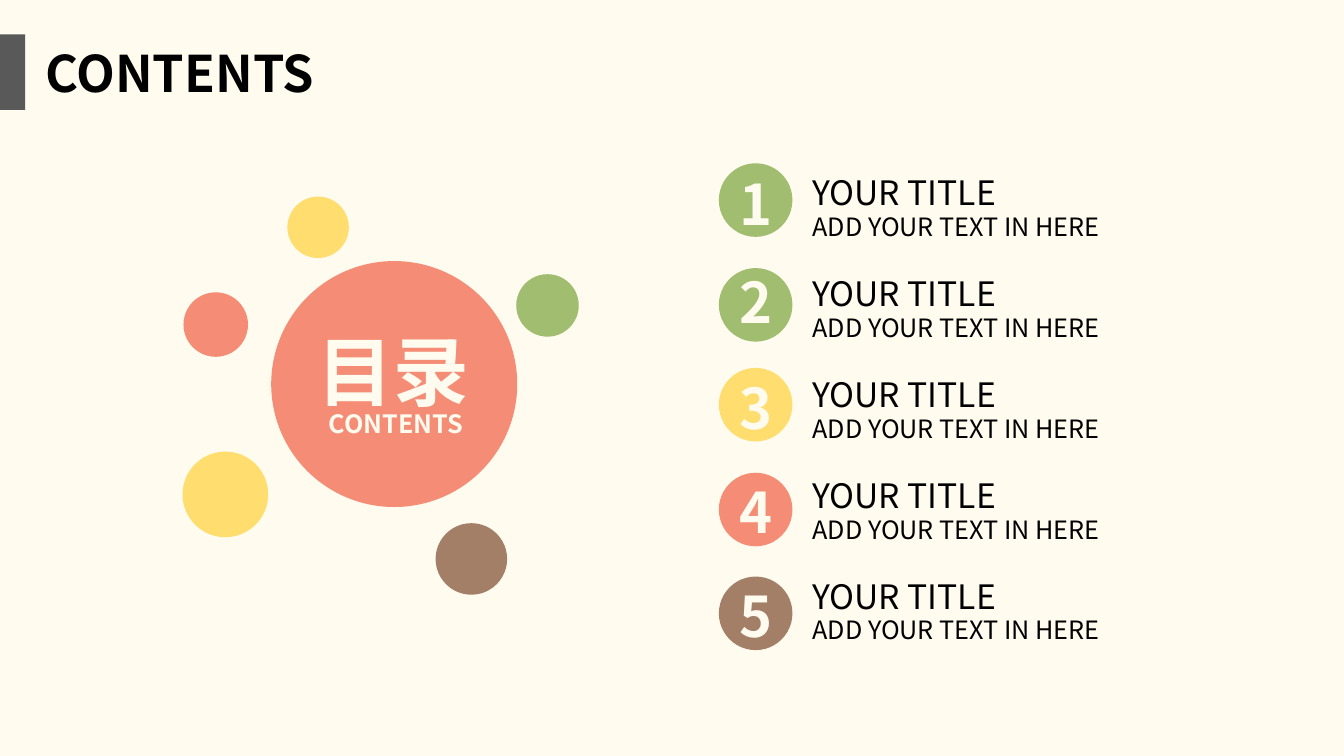
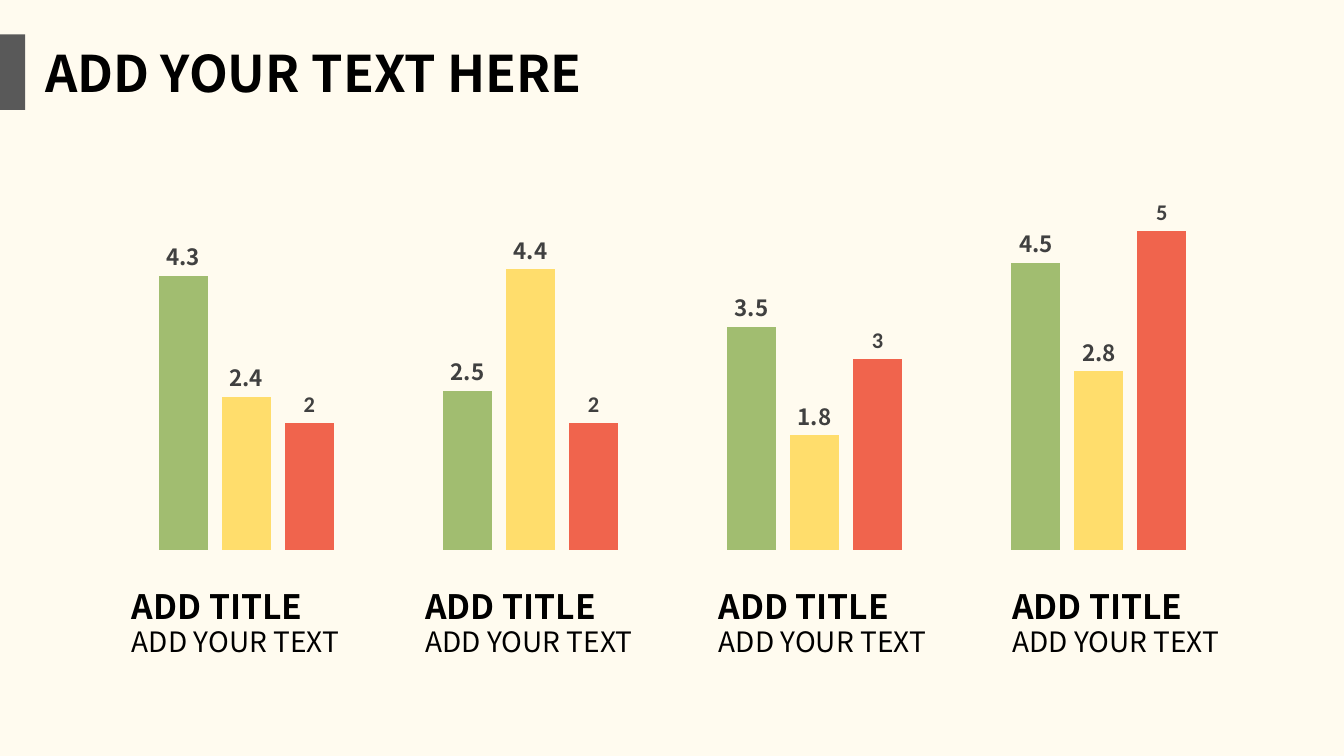
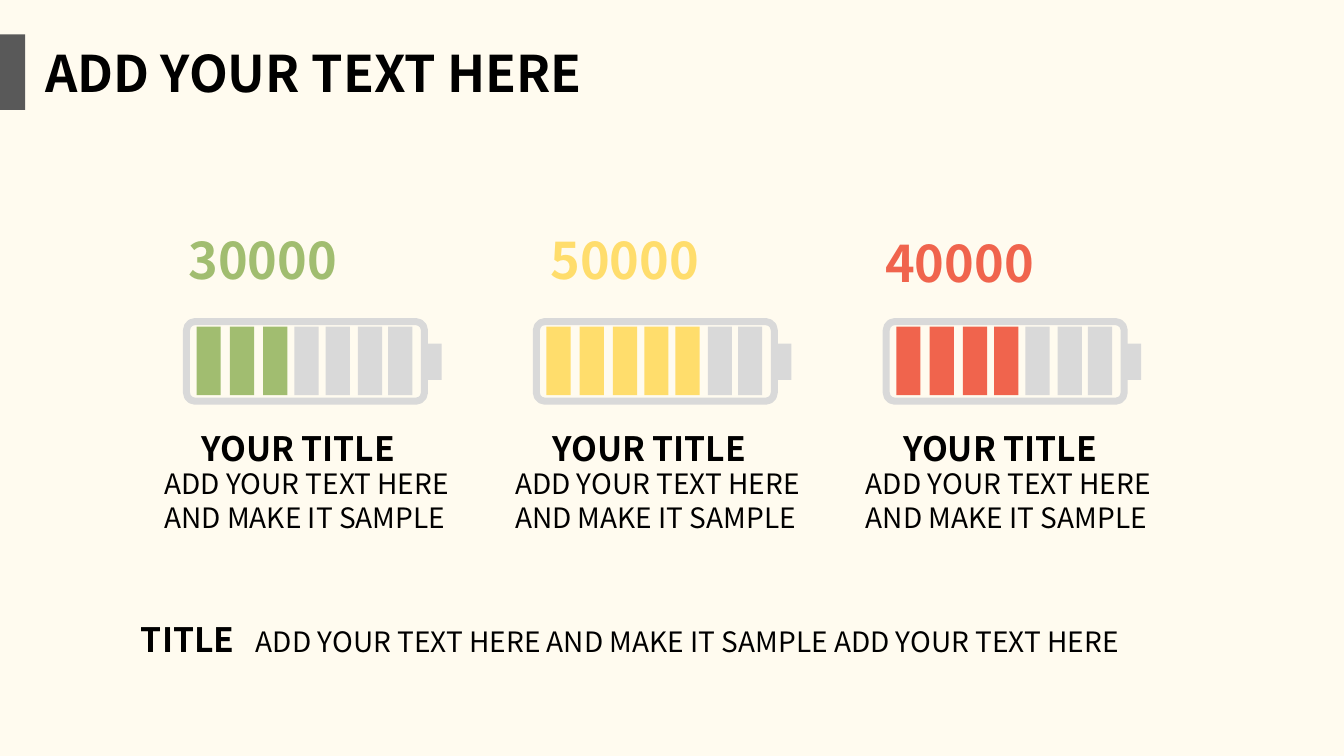
from lxml.etree import SubElement
from pptx import Presentation
from pptx.chart.data import CategoryChartData
from pptx.dml.color import RGBColor
from pptx.enum.chart import XL_CHART_TYPE as ChartType, XL_LABEL_POSITION as LabelPosition
from pptx.enum.shapes import MSO_SHAPE as Preset
from pptx.enum.text import PP_ALIGN as Align
from pptx.oxml.ns import qn
from pptx.util import Inches, Pt

FONT = "Noto Sans CJK SC"
CREAM, BLACK, CHARCOAL, GRAY = "FFFBEF", "000000", "595959", "D9D9D9"
GREEN, GOLD, CORAL, BROWN = "A1BD70", "FFDE6F", "F58D76", "A37F67"
YELLOW, RED, LABEL_GRAY = "FFDD6C", "F0644D", "404040"


def add_figure(page, preset, left, top, width, height, color):
    figure = page.shapes.add_shape(
        preset, Inches(left), Inches(top), Inches(width), Inches(height))
    figure.shadow.inherit = False
    figure.fill.solid()
    figure.fill.fore_color.rgb = RGBColor.from_string(color)
    figure.line.fill.background()
    return figure


def add_text(page, text, left, top, width, height, size,
             color=BLACK, bold=False, align=Align.LEFT):
    box = page.shapes.add_textbox(
        Inches(left), Inches(top), Inches(width), Inches(height))
    box.text_frame.word_wrap = True
    para = box.text_frame.paragraphs[0]
    para.alignment = align
    span = para.add_run()
    span.text = text
    for name, value in {"name": FONT, "size": Pt(size), "bold": bold}.items():
        setattr(span.font, name, value)
    span.font.color.rgb = RGBColor.from_string(color)
    SubElement(span.font._element, qn("a:ea"), typeface=FONT)


deck = Presentation()
deck.slide_width, deck.slide_height = Inches(13.33), Inches(7.5)
backdrop = deck.slide_master.background.fill
backdrop.solid()
backdrop.fore_color.rgb = RGBColor.from_string(CREAM)

pages = []
for heading in ("CONTENTS", "ADD YOUR TEXT HERE", "ADD YOUR TEXT HERE"):
    page = deck.slides.add_slide(deck.slide_layouts[6])
    add_figure(page, Preset.RECTANGLE, 0, 0.34, 0.25, 0.75, CHARCOAL)
    add_text(page, heading, 0.35, 0.37, 8, 0.71, 36, bold=True)
    pages.append(page)
contents_page, chart_page, battery_page = pages

# Contents: bubbles on the left, numbered entries on the right
bubbles = [
    (2.69, 2.59, 2.44, CORAL),
    (1.81, 4.48, 0.85, GOLD),
    (1.82, 2.9, 0.64, CORAL),
    (2.85, 1.95, 0.61, GOLD),
    (5.12, 2.72, 0.62, GREEN),
    (4.32, 5.19, 0.71, BROWN),
]
for left, top, diameter, color in bubbles:
    add_figure(contents_page, Preset.OVAL, left, top, diameter, diameter, color)
add_text(contents_page, "目录", 3.05, 3.17, 1.8, 1.01, 54, CREAM, True)
add_text(contents_page, "CONTENTS", 3.16, 4, 1.8, 0.4, 18, CREAM, True)

entries = [
    (1.62, 1.63, GREEN),
    (2.66, 2.61, GREEN),
    (3.65, 3.66, GOLD),
    (4.69, 4.69, CORAL),
    (5.72, 5.72, BROWN),
]
for index, (circle_top, number_top, color) in enumerate(entries):
    add_figure(contents_page, Preset.OVAL, 7.13, circle_top, 0.73, 0.73, color)
    add_text(contents_page, str(index + 1), 7.13, number_top, 0.73, 0.77, 40,
             CREAM, True, Align.CENTER)
    entry_top = 1.66 + index
    add_text(contents_page, "YOUR TITLE", 7.96, entry_top, 3.5, 0.5, 24)
    add_text(contents_page, "ADD YOUR TEXT IN HERE", 7.96, entry_top + 0.39,
             3.5, 0.4, 18)

# Column chart with a caption under each cluster
chart_data = CategoryChartData()
chart_data.categories = ["1", "2", "3", "4"]
chart_data.add_series("Series 1", (4.3, 2.5, 3.5, 4.5))
chart_data.add_series("Series 2", (2.4, 4.4, 1.8, 2.8))
chart_data.add_series("Series 3", (2, 2, 3, 5))
chart = chart_page.shapes.add_chart(
    ChartType.COLUMN_CLUSTERED, Inches(0.8), Inches(1.58),
    Inches(11.74), Inches(3.96), chart_data).chart
chart.has_title = chart.has_legend = False
chart.font.name, chart.font.size = "Calibri", Pt(10)
chart.font.color.rgb = RGBColor.from_string(BLACK)
chart.category_axis.visible = False
axis_format = {"visible": False, "has_major_gridlines": False,
               "minimum_scale": 0, "maximum_scale": 6}
for name, value in axis_format.items():
    setattr(chart.value_axis, name, value)
plot = chart.plots[0]
plot.gap_width, plot.overlap, plot.vary_by_categories = 219, -27, False
series_styles = ((GREEN, FONT), (YELLOW, FONT), (RED, "Calibri"))
for series, (color, label_font) in zip(plot.series, series_styles):
    series.format.fill.solid()
    series.format.fill.fore_color.rgb = RGBColor.from_string(color)
    labels = series.data_labels
    labels.show_value = True
    labels.position = LabelPosition.OUTSIDE_END
    for name, value in {"name": label_font, "size": Pt(16), "bold": True}.items():
        setattr(labels.font, name, value)
    labels.font.color.rgb = RGBColor.from_string(LABEL_GRAY)

for column in range(4):
    left = 1.21 + 2.91 * column
    add_text(chart_page, "ADD TITLE", left, 5.76, 2.68, 0.5, 24, bold=True)
    add_text(chart_page, "ADD YOUR TEXT", left, 6.15, 2.68, 0.44, 20)

# Batteries: charged cells take the accent colour
cell_offsets = (0.1, 0.43, 0.76, 1.07, 1.38, 1.7, 2)
batteries = [
    ("30000", 1.77, 2.22, 3, GREEN),
    ("50000", 5.36, 2.22, 5, YELLOW),
    ("40000", 8.68, 2.25, 4, RED),
]
for index, (amount, amount_left, amount_top, charged, color) in enumerate(batteries):
    left = 1.85 + 3.47 * index
    casing = add_figure(battery_page, Preset.ROUNDED_RECTANGLE,
                        left, 3.19, 2.36, 0.79, CREAM)
    casing.adjustments[0] = 0.107
    casing.fill.background()
    casing.line.color.rgb = RGBColor.from_string(GRAY)
    casing.line.width = Pt(5)
    add_figure(battery_page, Preset.RECTANGLE, left + 2.37, 3.41, 0.16, 0.36, GRAY)
    for cell, offset in enumerate(cell_offsets):
        add_figure(battery_page, Preset.RECTANGLE, left + offset, 3.24, 0.24, 0.68,
                   color if cell < charged else GRAY)
    add_text(battery_page, amount, amount_left, amount_top, 2, 0.71, 36, color, True)
    caption_left = 1.53 + 3.48 * index
    add_text(battery_page, "YOUR TITLE", caption_left + 0.37, 4.2, 2.5, 0.5, 24,
             bold=True)
    add_text(battery_page, "ADD YOUR TEXT HERE AND MAKE IT SAMPLE",
             caption_left, 4.58, 3.35, 0.77, 20)

add_text(battery_page, "TITLE", 1.3, 6.09, 1.25, 0.5, 24, bold=True)
add_text(battery_page, "ADD YOUR TEXT HERE AND MAKE IT SAMPLE ADD YOUR TEXT HERE",
         2.44, 6.15, 9.7, 0.44, 20)

deck.save("out.pptx")
